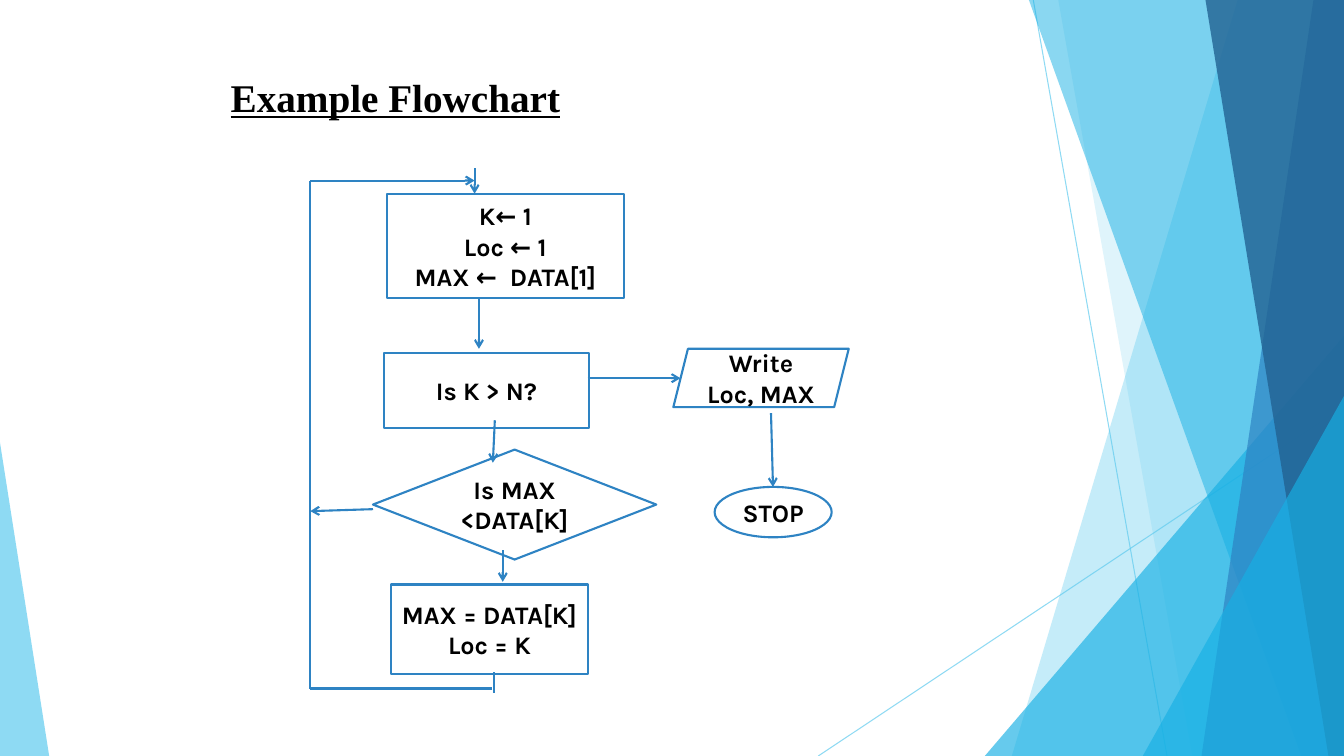
import pptx
import pptx.util
import pptx.dml.color
import pptx.enum.shapes
import pptx.enum.text
import pptx.oxml.ns
import pptx.oxml.xmlchemy

Cm = pptx.util.Cm
Pt = pptx.util.Pt
SHAPE = pptx.enum.shapes.MSO_SHAPE
ALIGN = pptx.enum.text.PP_ALIGN
ANCHOR = pptx.enum.text.MSO_ANCHOR

COLORS = {"white": "FFFFFF", "black": "000000", "sky": "5FCBEF",
          "cyan": "17B0E4", "blue": "2E83C3", "navy": "226292"}

# Content; all lengths in centimetres
SLIDE_WIDTH, SLIDE_HEIGHT = 33.87, 19.05
TITLE = "Example Flowchart"
TITLE_BOX = (5.56, 1.73, 16.94, 2.24)
TITLE_FONT = {"name": "Times New Roman", "size": Pt(28), "bold": True, "underline": True}
NODE_FONT = {"name": "Karla", "size": Pt(18), "bold": True}

# Background: start, end
THIN_LINES = [((26.04, 0), (29.41, SLIDE_HEIGHT)),
              ((SLIDE_WIDTH, 10.24), (20.62, SLIDE_HEIGHT))]
# Bands reach the right edge: top left x, bottom left x, colour, opacity.
# Triangles stand on the bottom edge: left, top, width, apex, colour, opacity.
BACKGROUND = [
    ("band", 31.19, 25.5, "sky", 36),
    ("band", 26.67, 30.05, "sky", 20),
    ("triangle", 24.82, 8.46, 9.05, 1, "cyan", 66),
    ("band", 25.93, 32.79, "cyan", 50),
    ("band", 33.1, 30.28, "blue", 70),
    ("band", 30.38, 33.48, "navy", 80),
    ("triangle", 28.8, 9.98, 5.07, 1, "cyan", 66),
    ("triangle", 0, 11.15, 1.24, 0, "sky", 70),
]

NODES = [
    (SHAPE.RECTANGLE, (9.75, 4.88, 5.97, 2.64), "K← 1\nLoc ← 1\nMAX ←  DATA[1]"),
    (SHAPE.RECTANGLE, (9.68, 8.89, 5.16, 1.9), "Is K > N?"),
    (SHAPE.DIAMOND, (9.4, 11.33, 7.14, 2.77), "Is MAX <DATA[K]"),
    (SHAPE.RECTANGLE, (9.86, 14.73, 4.95, 2.26), "MAX = DATA[K]\nLoc = K"),
    (SHAPE.PARALLELOGRAM, (16.97, 8.79, 4.42, 1.47), "Write Loc, MAX"),
    (SHAPE.OVAL, (18.01, 12.27, 2.95, 1.27), "STOP"),
]

LOOP_X, LOOP_TOP, LOOP_BOTTOM, ENTRY_X = 7.82, 4.55, 17.35, 11.96
ARROWS = [
    ((ENTRY_X, 4.24), (ENTRY_X, 4.88)),
    ((12.47, 10.59), (12.42, 11.66)),
    ((12.07, 7.52), (12.07, 8.79)),
    ((12.67, 13.87), (12.67, 14.66)),
    ((14.81, 9.53), (17.15, 9.53)),
    ((19.43, 10.41), (19.48, 12.27)),
    ((9.4, 12.83), (LOOP_X, 12.88)),
    ((LOOP_X, LOOP_TOP), (ENTRY_X, LOOP_TOP)),
]
PLAIN_LINES = [
    ((12.45, 16.94), (12.45, 17.45)),
    ((12.4, LOOP_BOTTOM), (LOOP_X, LOOP_BOTTOM)),
    ((LOOP_X, LOOP_BOTTOM), (LOOP_X, LOOP_TOP)),
]


def add_element(parent, tag, **attributes):
    element = pptx.oxml.xmlchemy.OxmlElement(tag)
    for name, value in attributes.items():
        element.set(name, value)
    parent.append(element)


def set_color(fill, color, opacity=100):
    fill.solid()
    fill.fore_color.rgb = pptx.dml.color.RGBColor.from_string(COLORS[color])
    if opacity < 100:
        color_element = fill._xPr.find(".//" + pptx.oxml.ns.qn("a:srgbClr"))
        add_element(color_element, "a:alpha", val=str(opacity * 1000))


def format_text(text_frame, font_format, alignment, anchor):
    text_frame.word_wrap = True
    text_frame.vertical_anchor = anchor
    for paragraph in text_frame.paragraphs:
        paragraph.alignment = alignment
        paragraph.line_spacing = 1.0
        for run in paragraph.runs:
            for name, value in font_format.items():
                setattr(run.font, name, value)
            set_color(run.font.fill, "black")


def add_line(slide, start, end, color, width, opacity=100, arrow=False):
    connector = slide.shapes.add_connector(
        pptx.enum.shapes.MSO_CONNECTOR.STRAIGHT, *map(Cm, start + end))
    connector.line.width = Pt(width)
    set_color(connector.line.fill, color, opacity)
    if arrow:
        add_element(connector.line._get_or_add_ln(), "a:tailEnd", type="arrow")
    add_element(connector._element.spPr, "a:effectLst")


def add_background(slide):
    for start, end in THIN_LINES:
        add_line(slide, start, end, "sky", 0.75, opacity=70)
    for kind, *geometry, color, opacity in BACKGROUND:
        if kind == "band":
            top_x, bottom_x = geometry
            builder = slide.shapes.build_freeform(Cm(top_x), 0)
            corners = [(SLIDE_WIDTH, 0), (SLIDE_WIDTH, SLIDE_HEIGHT), (bottom_x, SLIDE_HEIGHT)]
            builder.add_line_segments([(Cm(x), Cm(y)) for x, y in corners], close=True)
            shape = builder.convert_to_shape()
        else:
            left, top, width, apex = geometry
            shape = slide.shapes.add_shape(
                SHAPE.ISOSCELES_TRIANGLE, *map(Cm, (left, top, width, SLIDE_HEIGHT - top)))
            shape.adjustments[0] = apex
        shape.shadow.inherit = False
        shape.line.fill.background()
        set_color(shape.fill, color, opacity)


def add_title(slide):
    title = slide.shapes.title
    title.left, title.top, title.width, title.height = map(Cm, TITLE_BOX)
    title.text_frame.text = TITLE
    title.text_frame.auto_size = pptx.enum.text.MSO_AUTO_SIZE.NONE
    format_text(title.text_frame, TITLE_FONT, ALIGN.LEFT, ANCHOR.TOP)


def add_flowchart(slide):
    for kind, box, text in NODES:
        shape = slide.shapes.add_shape(kind, *map(Cm, box))
        shape.shadow.inherit = False
        set_color(shape.fill, "white")
        set_color(shape.line.fill, "blue")
        shape.line.width = Pt(1.5)
        shape.text_frame.text = text
        format_text(shape.text_frame, NODE_FONT, ALIGN.CENTER, ANCHOR.MIDDLE)
    for lines, arrow in ((ARROWS, True), (PLAIN_LINES, False)):
        for start, end in lines:
            add_line(slide, start, end, "blue", 1.5, arrow=arrow)


def main():
    presentation = pptx.Presentation()
    presentation.slide_width = Cm(SLIDE_WIDTH)
    presentation.slide_height = Cm(SLIDE_HEIGHT)
    slide = presentation.slides.add_slide(presentation.slide_layouts[5])
    add_background(slide)
    add_title(slide)
    add_flowchart(slide)
    presentation.save("out.pptx")


if __name__ == "__main__":
    main()
